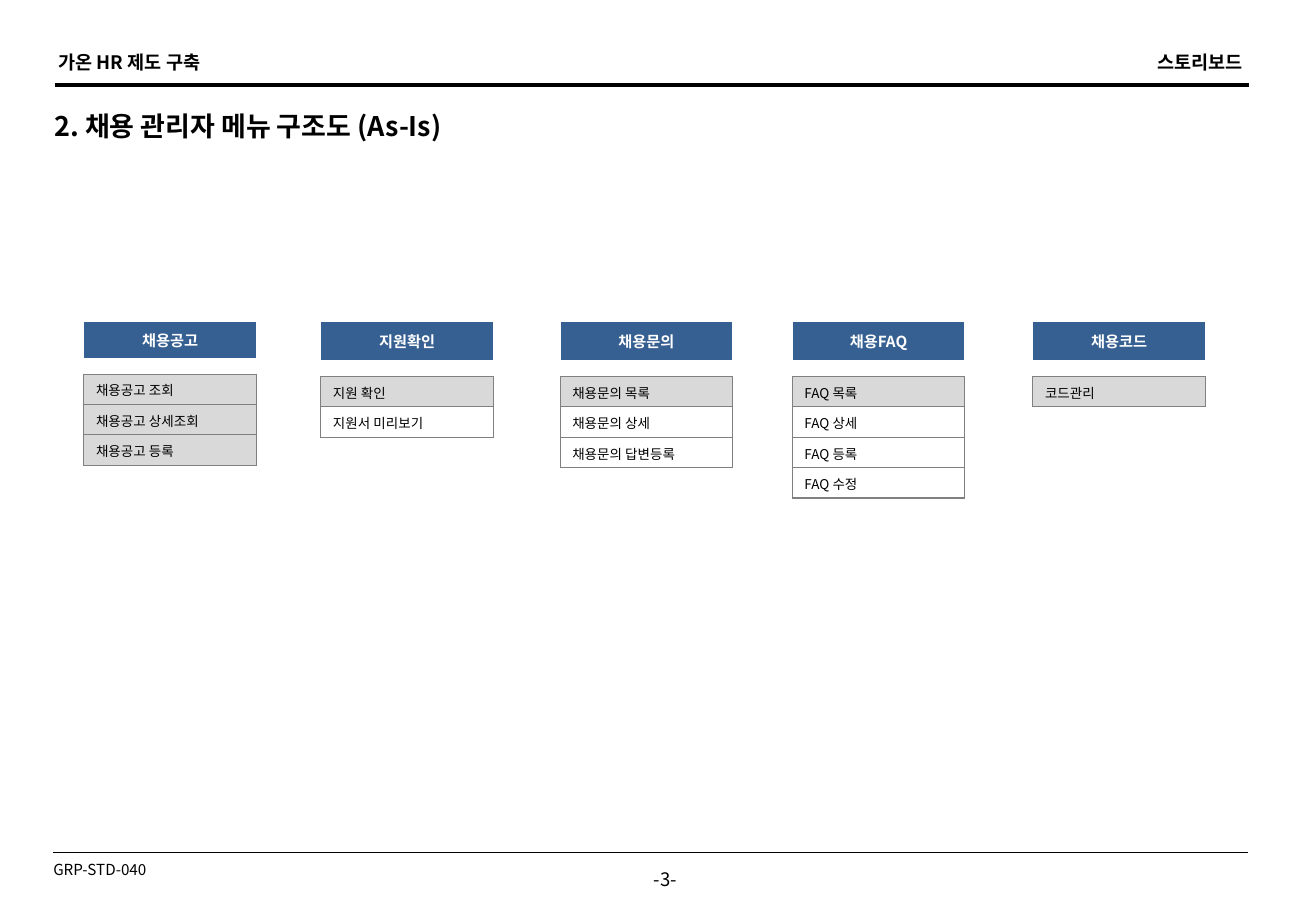
from lxml import etree
from pptx import Presentation
from pptx import util as u
from pptx.dml.color import RGBColor
from pptx.enum import shapes, text
from pptx.oxml.ns import qn

BLACK, WHITE, BLUE, GRAY, LIGHT = "000000", "FFFFFF", "376092", "808080", "D9D9D9"
LEFT, CENTER, RIGHT = text.PP_ALIGN.LEFT, text.PP_ALIGN.CENTER, text.PP_ALIGN.RIGHT


def color(value):
    return RGBColor.from_string(value)


class Storyboard:
    font = "Noto Sans CJK KR"
    column_width = 1.42
    menu_top = 2.65
    gap_height = 0.13
    item_height = 0.25

    def __init__(self, page):
        self.page = page

    def set_words(self, para, words, size, fill=BLACK, bold=False, align=LEFT):
        para.add_run().text = words
        para.alignment = align
        para.font.size = u.Pt(size)
        para.font.bold = bold
        para.font.color.rgb = color(fill)
        para.font.name = self.font
        defaults = para._p.pPr.find(qn("a:defRPr"))
        etree.SubElement(defaults, qn("a:ea")).set("typeface", self.font)

    def label(self, place, words, size, bold=False, align=LEFT, wrap=False):
        box = self.page.shapes.add_textbox(*map(u.Inches, place))
        frame = box.text_frame
        frame.word_wrap = wrap
        if wrap:
            frame.vertical_anchor = text.MSO_ANCHOR.MIDDLE
        self.set_words(frame.paragraphs[0], words, size, bold=bold, align=align)

    def rule(self, left, right, top, weight):
        line = self.page.shapes.add_connector(
            shapes.MSO_CONNECTOR.STRAIGHT,
            u.Inches(left), u.Inches(top), u.Inches(right), u.Inches(top))
        line.line.color.rgb = color(BLACK)
        line.line.width = u.Pt(weight)
        etree.SubElement(line._element.spPr, qn("a:effectLst"))

    def style_cell(self, cell, fill, edge, bottom):
        cell.vertical_anchor = text.MSO_ANCHOR.MIDDLE
        properties = cell._tc.get_or_add_tcPr()
        for side, stroke in zip("LRTB", (edge, edge, edge, bottom)):
            border = etree.SubElement(properties, qn(f"a:ln{side}"), w=str(u.Pt(0.75)))
            solid = etree.SubElement(border, qn("a:solidFill"))
            etree.SubElement(solid, qn("a:srgbClr"), val=stroke)
        cell.fill.solid()
        cell.fill.fore_color.rgb = color(fill)

    def menu(self, left, title, title_height, items, shaded):
        heights = [title_height, self.gap_height] + [self.item_height] * len(items)
        table = self.page.shapes.add_table(
            len(heights), 1, u.Inches(left), u.Inches(self.menu_top),
            u.Inches(self.column_width), u.Inches(sum(heights))).table
        table.first_row = table.horz_banding = False
        for row, height in zip(table.rows, heights):
            row.height = u.Inches(height)

        head, gap, *cells = [row.cells[0] for row in table.rows]
        self.style_cell(head, BLUE, WHITE, WHITE)
        self.set_words(head.text_frame.paragraphs[0], title, 9, WHITE, True, CENTER)

        self.style_cell(gap, WHITE, WHITE, GRAY)
        gap.margin_top = gap.margin_bottom = 0
        etree.SubElement(gap.text_frame.paragraphs[0]._p, qn("a:endParaRPr"), sz="100")

        for index, (cell, item) in enumerate(zip(cells, items)):
            self.style_cell(cell, LIGHT if index < shaded else WHITE, GRAY, GRAY)
            self.set_words(cell.text_frame.paragraphs[0], item, 8)


MENUS = [
    (0.69, "채용공고", 0.3, ["채용공고 조회", "채용공고 상세조회", "채용공고 등록"], 3),
    (2.64, "지원확인", 0.32, ["지원 확인", "지원서 미리보기"], 1),
    (4.61, "채용문의", 0.32, ["채용문의 목록", "채용문의 상세", "채용문의 답변등록"], 1),
    (6.52, "채용FAQ", 0.32, ["FAQ 목록", "FAQ 상세", "FAQ 등록", "FAQ 수정"], 1),
    (8.5, "채용코드", 0.32, ["코드관리"], 1),
]

deck = Presentation()
deck.slide_width, deck.slide_height = u.Inches(10.83), u.Inches(7.5)
board = Storyboard(deck.slides.add_slide(deck.slide_layouts[6]))

board.label((0.38, 0.37, 1.51, 0.29), "가온 HR 제도 구축", 11, bold=True)
board.label((9.36, 0.37, 0.97, 0.29), "스토리보드", 11, bold=True, align=RIGHT)
board.rule(0.45, 10.28, 0.7, 2.75)
board.label((0.35, 0.84, 8.19, 0.39), "2. 채용 관리자 메뉴 구조도 (As-Is)", 16, bold=True, wrap=True)

for menu in MENUS:
    board.menu(*menu)

board.rule(0.44, 10.27, 7.02, 0.75)
board.label((0.34, 7.03, 1.09, 0.25), "GRP-STD-040", 9)
board.label((5.21, 7.1, 0.53, 0.28), "-3-", 11, align=CENTER)

deck.save("out.pptx")
